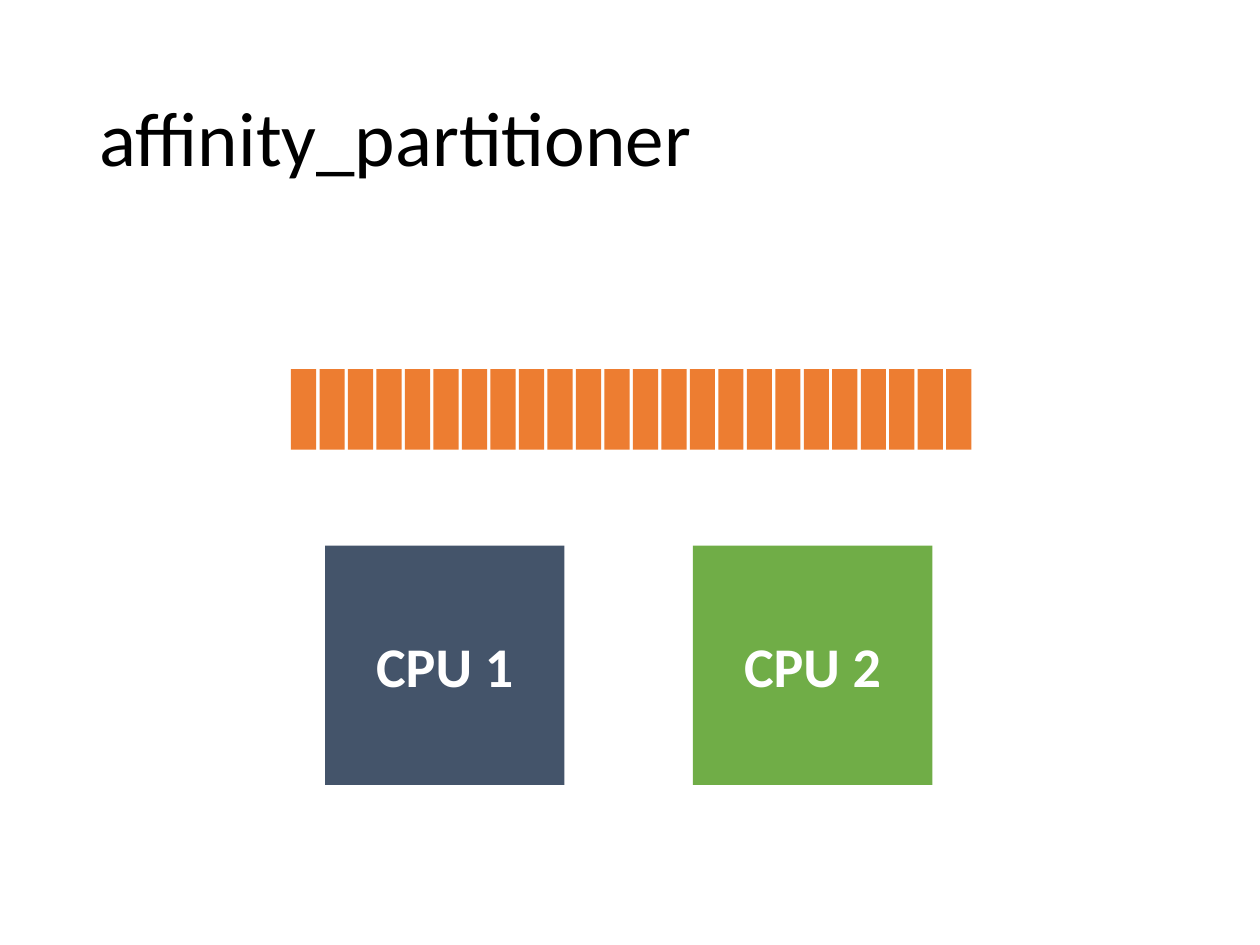
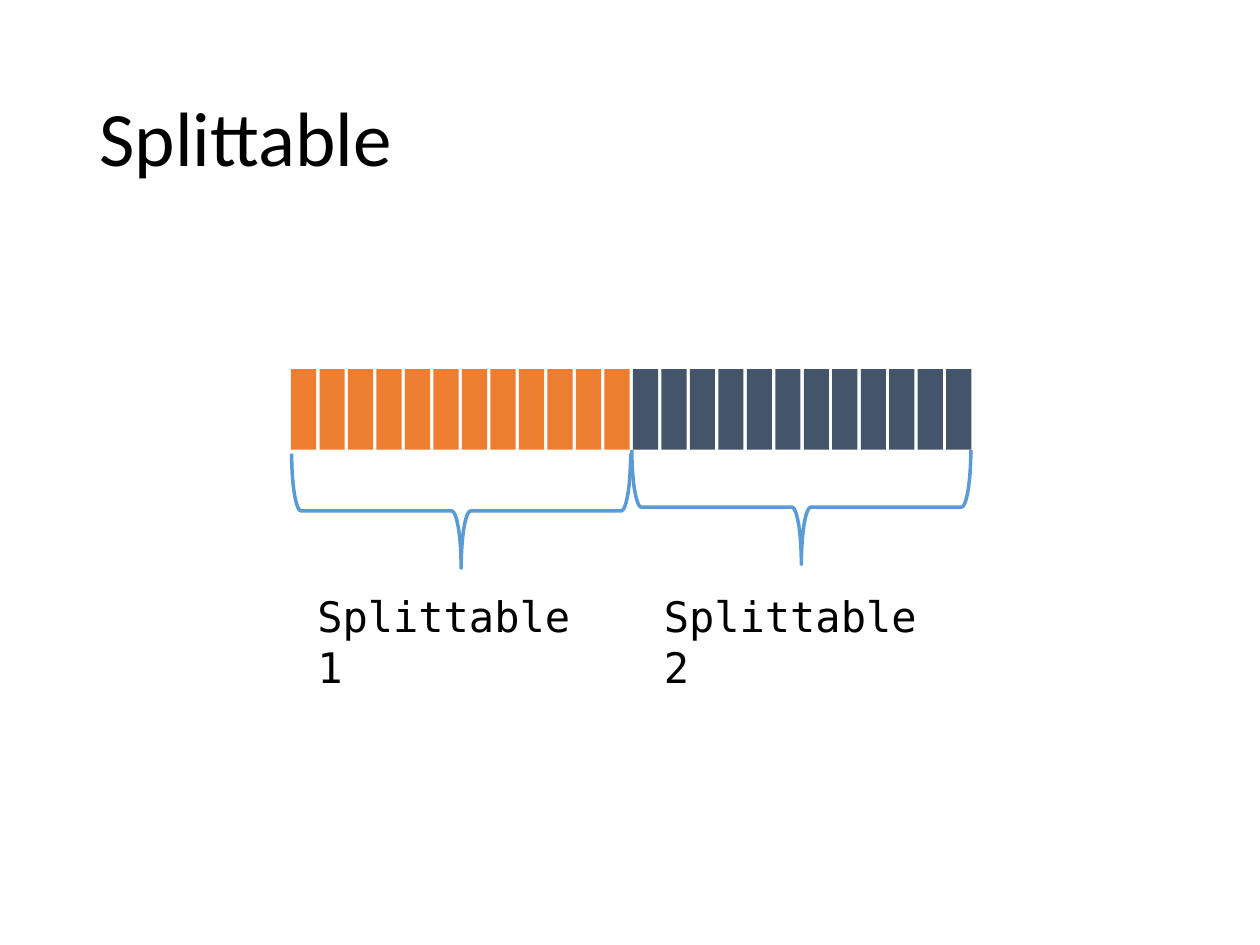
"""Two slides on loop partitioning: a strip of work items above its owners."""
from pptx import Presentation
from pptx import util as u
from pptx.dml.color import RGBColor
from pptx.enum import shapes, text

COLUMNS, ROWS = 10, 7.5
UNIT = u.Inches(1)
ORANGE, SLATE, GREEN, BLUE = "ED7D31", "44546A", "70AD47", "5B9BD5"
BLACK, WHITE = "000000", "FFFFFF"

TITLE_BOX = (0.69, 0.4, 8.62, 1.45)
STRIP = {"left": 2.31, "top": 2.93, "width": 5.4, "height": 0.64}
ITEM_WIDTH, ITEM_COUNT = 0.2, 24
CPU = {"left": 2.58, "top": 4.33, "side": 1.9, "step": 2.92}
BRACE = {"center": 3.66, "step": 2.7, "span": 2.69, "depth": 0.91}
LABEL = {"left": 2.42, "top": 4.64, "width": 2.43, "height": 0.5, "step": 2.75}

TITLE_FONT = {"name": "Calibri", "size": u.Pt(44), "color": BLACK}
CPU_FONT = {"name": "Calibri", "size": u.Pt(32), "bold": True, "color": WHITE}
LABEL_FONT = {"name": "DejaVu Sans Mono", "size": u.Pt(24), "color": BLACK}

SLIDES = [
    {"title": "affinity_partitioner", "strip": [ORANGE],
     "cpus": [("CPU 1", SLATE), ("CPU 2", GREEN)]},
    {"title": "Splittable", "strip": [ORANGE, SLATE],
     "ranges": [("Splittable 1", 3.6), ("Splittable 2", 3.57)]},
]


def rgb(color):
    return RGBColor.from_string(color)


def place(*lengths):
    return [round(length * UNIT) for length in lengths]


def write(shape, words, font, **paragraph_format):
    shape.text_frame.word_wrap = True
    paragraph = shape.text_frame.paragraphs[0]
    paragraph.text = words
    for name, value in paragraph_format.items():
        setattr(paragraph, name, value)
    for name, value in font.items():
        if name == "color":
            paragraph.font.color.rgb = rgb(value)
        else:
            setattr(paragraph.font, name, value)


def add_text(slide, box, words, font, anchor, **paragraph_format):
    shape = slide.shapes.add_textbox(*place(*box))
    shape.text_frame.vertical_anchor = anchor
    write(shape, words, font, **paragraph_format)


def add_block(slide, box, fill):
    shape = slide.shapes.add_shape(shapes.MSO_SHAPE.RECTANGLE, *place(*box))
    shape.shadow.inherit = False
    shape.fill.solid()
    shape.fill.fore_color.rgb = rgb(fill)
    shape.line.fill.background()
    return shape


def add_strip(slide, colors):
    pitch = (STRIP["width"] - ITEM_WIDTH) / (ITEM_COUNT - 1)
    for item in range(ITEM_COUNT):
        box = (STRIP["left"] + item * pitch, STRIP["top"], ITEM_WIDTH, STRIP["height"])
        add_block(slide, box, colors[item * len(colors) // ITEM_COUNT])


def add_cpus(slide, cpus):
    for index, (name, fill) in enumerate(cpus):
        left = CPU["left"] + index * CPU["step"]
        block = add_block(slide, (left, CPU["top"], CPU["side"], CPU["side"]), fill)
        block.text_frame.vertical_anchor = text.MSO_ANCHOR.MIDDLE
        write(block, name, CPU_FONT, alignment=text.PP_ALIGN.CENTER)


def add_ranges(slide, ranges):
    for index, (name, top) in enumerate(ranges):
        center = BRACE["center"] + index * BRACE["step"]
        box = (center - BRACE["depth"] / 2, top + (BRACE["depth"] - BRACE["span"]) / 2,
               BRACE["depth"], BRACE["span"])
        brace = slide.shapes.add_shape(shapes.MSO_SHAPE.LEFT_BRACE, *place(*box))
        brace.rotation = 270
        brace.shadow.inherit = False
        brace.fill.background()
        brace.line.color.rgb = rgb(BLUE)
        brace.line.width = u.Pt(2)
        left = LABEL["left"] + index * LABEL["step"]
        add_text(slide, (left, LABEL["top"], LABEL["width"], LABEL["height"]),
                 name, LABEL_FONT, text.MSO_ANCHOR.TOP)


def main():
    presentation = Presentation()
    presentation.slide_width, presentation.slide_height = place(COLUMNS, ROWS)
    for content in SLIDES:
        slide = presentation.slides.add_slide(presentation.slide_layouts[6])
        add_text(slide, TITLE_BOX, content["title"], TITLE_FONT,
                 text.MSO_ANCHOR.MIDDLE, line_spacing=0.9)
        add_strip(slide, content["strip"])
        add_cpus(slide, content.get("cpus", []))
        add_ranges(slide, content.get("ranges", []))
    presentation.save("out.pptx")


if __name__ == "__main__":
    main()
